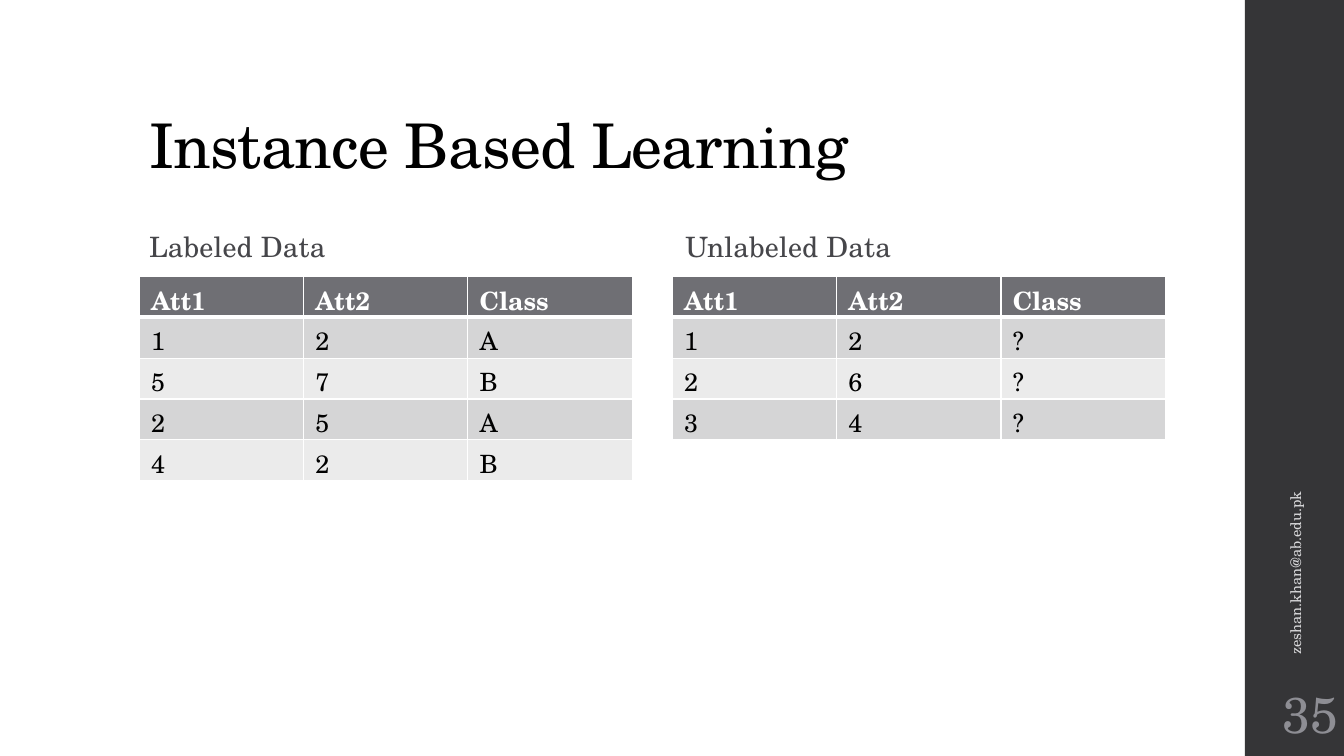
import pptx
import pptx.dml.color
import pptx.enum.shapes
import pptx.enum.text
import pptx.oxml
import pptx.oxml.ns
import pptx.util

Pt = pptx.util.Pt
ALIGN = pptx.enum.text.PP_ALIGN
ANCHOR = pptx.enum.text.MSO_ANCHOR

TITLE = "Instance Based Learning"
EMAIL = "zeshan.khan@ab.edu.pk"
PAGE = "35"
HEADER = ("Att1", "Att2", "Class")
DATASETS = [
    {"label": "Labeled Data", "label_left": 99.4, "table_left": 99.4,
     "rows": [("1", "2", "A"), ("5", "7", "B"), ("2", "5", "A"), ("4", "2", "B")]},
    {"label": "Unlabeled Data", "label_left": 482.4, "table_left": 480.2,
     "rows": [("1", "2", "?"), ("2", "6", "?"), ("3", "4", "?")]},
]

FONT = "TeX Gyre Schola"
COLORS = {"white": "FFFFFF", "black": "000000", "sidebar": "353537",
          "label": "46464A", "email": "D9D9DB", "page": "8E8E94",
          "header": "6F6F74", "odd": "D5D5D6", "even": "EBEBEB"}

SLIDE_WIDTH, SLIDE_HEIGHT = 960, 540
SIDEBAR_LEFT = 889.2
SIDEBAR_WIDTH = SLIDE_WIDTH - SIDEBAR_LEFT
COLUMN_WIDTH, ROW_HEIGHT = 117.4, 29.2
TABLE_TOP, TABLE_WIDTH = 197.4, COLUMN_WIDTH * len(HEADER)


def rgb(name):
    return pptx.dml.color.RGBColor.from_string(COLORS[name])


def write(paragraph, text, size, color, bold=False, spacing=0):
    """Add one run; spacing is the letter spacing in points."""
    run = paragraph.add_run()
    run.text = text
    run.font.name = FONT
    run.font.size = Pt(size)
    run.font.bold = bold
    run.font.color.rgb = rgb(color)
    if spacing:
        run.font._element.set("spc", str(round(spacing * 100)))


def add_text(slide, box, text, size, color, anchor, align=ALIGN.LEFT,
             line_spacing=1.0, space_after=0, spacing=0, side_inset=7.2, rotation=0):
    shape = slide.shapes.add_textbox(*map(Pt, box))
    shape.rotation = rotation
    frame = shape.text_frame
    frame.word_wrap = True
    frame.vertical_anchor = anchor
    frame.margin_left = frame.margin_right = Pt(side_inset)
    paragraph = frame.paragraphs[0]
    paragraph.alignment = align
    paragraph.line_spacing = line_spacing
    paragraph.space_after = Pt(space_after)
    write(paragraph, text, size, color, spacing=spacing)


def set_borders(cell, top, bottom):
    """Draw white cell borders, 1 pt at the sides."""
    properties = cell._tc.get_or_add_tcPr()
    for index, (side, width) in enumerate((("L", 1), ("R", 1), ("T", top), ("B", bottom))):
        properties.insert(index, pptx.oxml.parse_xml(
            f'<a:ln{side} {pptx.oxml.ns.nsdecls("a")} w="{Pt(width)}"><a:solidFill>'
            f'<a:srgbClr val="{COLORS["white"]}"/></a:solidFill></a:ln{side}>'))


def add_data_table(slide, left, rows):
    lines = [HEADER, *rows]
    table = slide.shapes.add_table(
        len(lines), len(HEADER), Pt(left), Pt(TABLE_TOP),
        Pt(TABLE_WIDTH), Pt(ROW_HEIGHT * len(lines))).table
    for column in table.columns:
        column.width = Pt(COLUMN_WIDTH)
    for r, line in enumerate(lines):
        table.rows[r].height = Pt(ROW_HEIGHT)
        is_header = r == 0
        fill = "header" if is_header else "odd" if r % 2 else "even"
        for c, value in enumerate(line):
            cell = table.cell(r, c)
            cell.margin_left = cell.margin_right = Pt(8.5)
            cell.margin_top = cell.margin_bottom = Pt(3.6)
            cell.fill.solid()
            cell.fill.fore_color.rgb = rgb(fill)
            set_borders(cell, top=3 if r == 1 else 1, bottom=3 if is_header else 1)
            write(cell.text_frame.paragraphs[0], value, 18,
                  "white" if is_header else "black", bold=is_header)


def main():
    deck = pptx.Presentation()
    deck.slide_width, deck.slide_height = Pt(SLIDE_WIDTH), Pt(SLIDE_HEIGHT)
    slide = deck.slides.add_slide(deck.slide_layouts[6])

    sidebar = slide.shapes.add_shape(
        pptx.enum.shapes.MSO_SHAPE.RECTANGLE, Pt(SIDEBAR_LEFT), 0,
        Pt(SIDEBAR_WIDTH), Pt(SLIDE_HEIGHT))
    sidebar.shadow.inherit = False
    sidebar.fill.solid()
    sidebar.fill.fore_color.rgb = rgb("sidebar")
    sidebar.line.fill.background()

    add_text(slide, (99.4, 28.8, 763.2, 104.4), TITLE, 44, "black",
             ANCHOR.BOTTOM, line_spacing=0.9, spacing=-0.5)
    for dataset in DATASETS:
        add_text(slide, (dataset["label_left"], 134.6, TABLE_WIDTH, 57.6),
                 dataset["label"], 20, "label", ANCHOR.BOTTOM,
                 line_spacing=0.95, space_after=2, spacing=0.1)
        add_data_table(slide, dataset["table_left"], dataset["rows"])
    add_text(slide, (784.1, 319, 282.2, 28.8), EMAIL, 10.5, "email",
             ANCHOR.MIDDLE, rotation=270)
    add_text(slide, (SIDEBAR_LEFT, 486, SIDEBAR_WIDTH, 46.8), PAGE, 36, "page",
             ANCHOR.MIDDLE, align=ALIGN.RIGHT, side_inset=3.6)

    deck.save("out.pptx")


if __name__ == "__main__":
    main()
